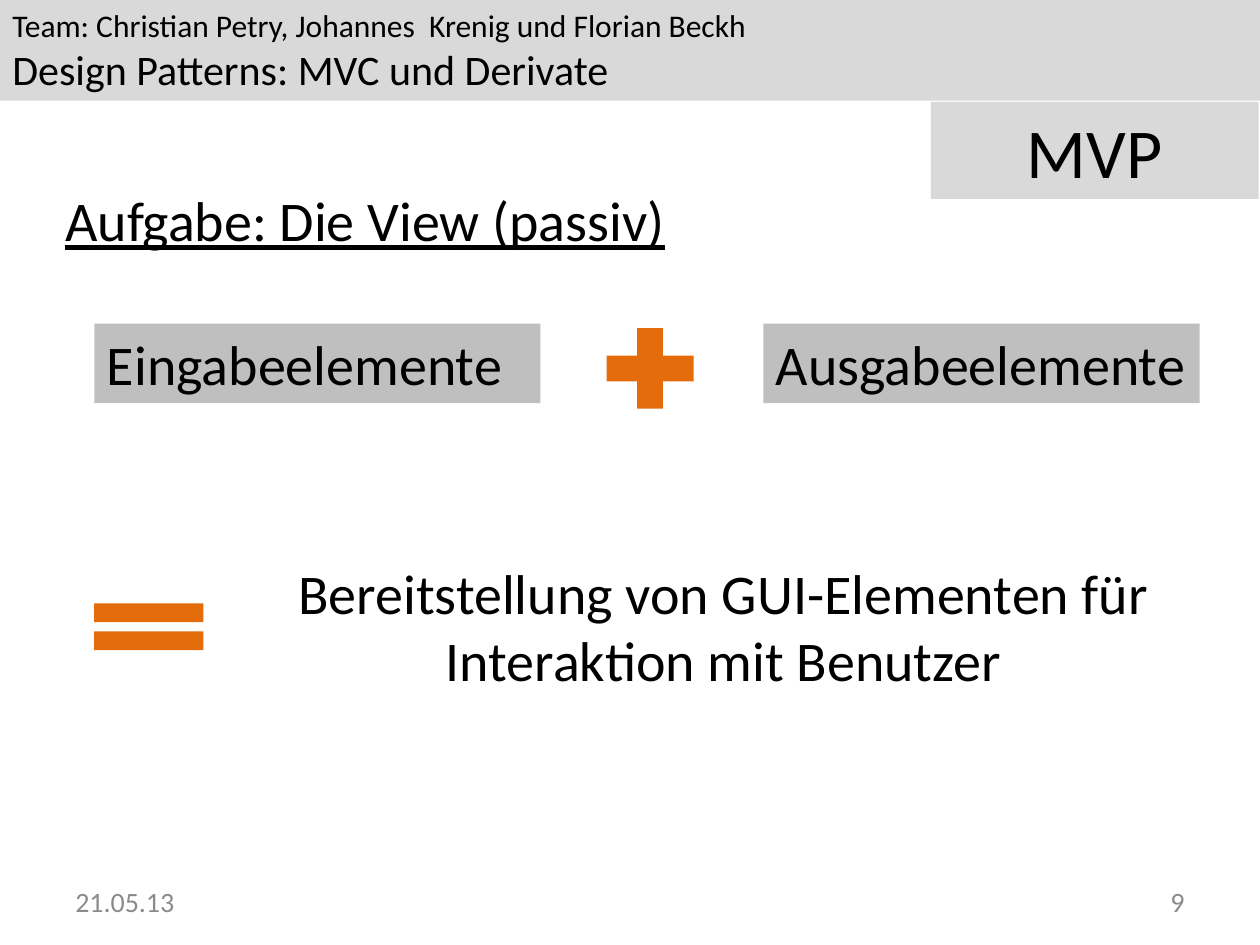
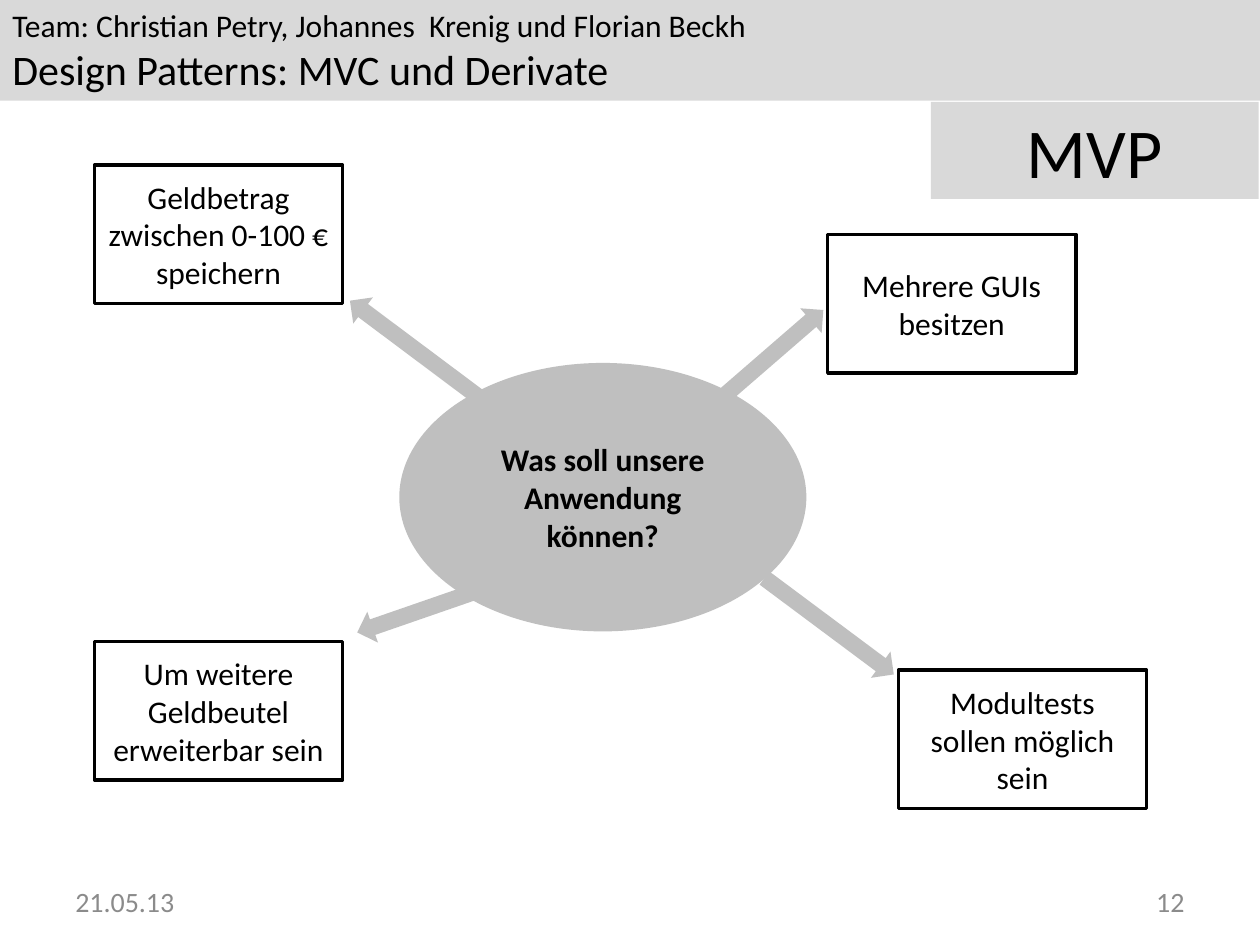
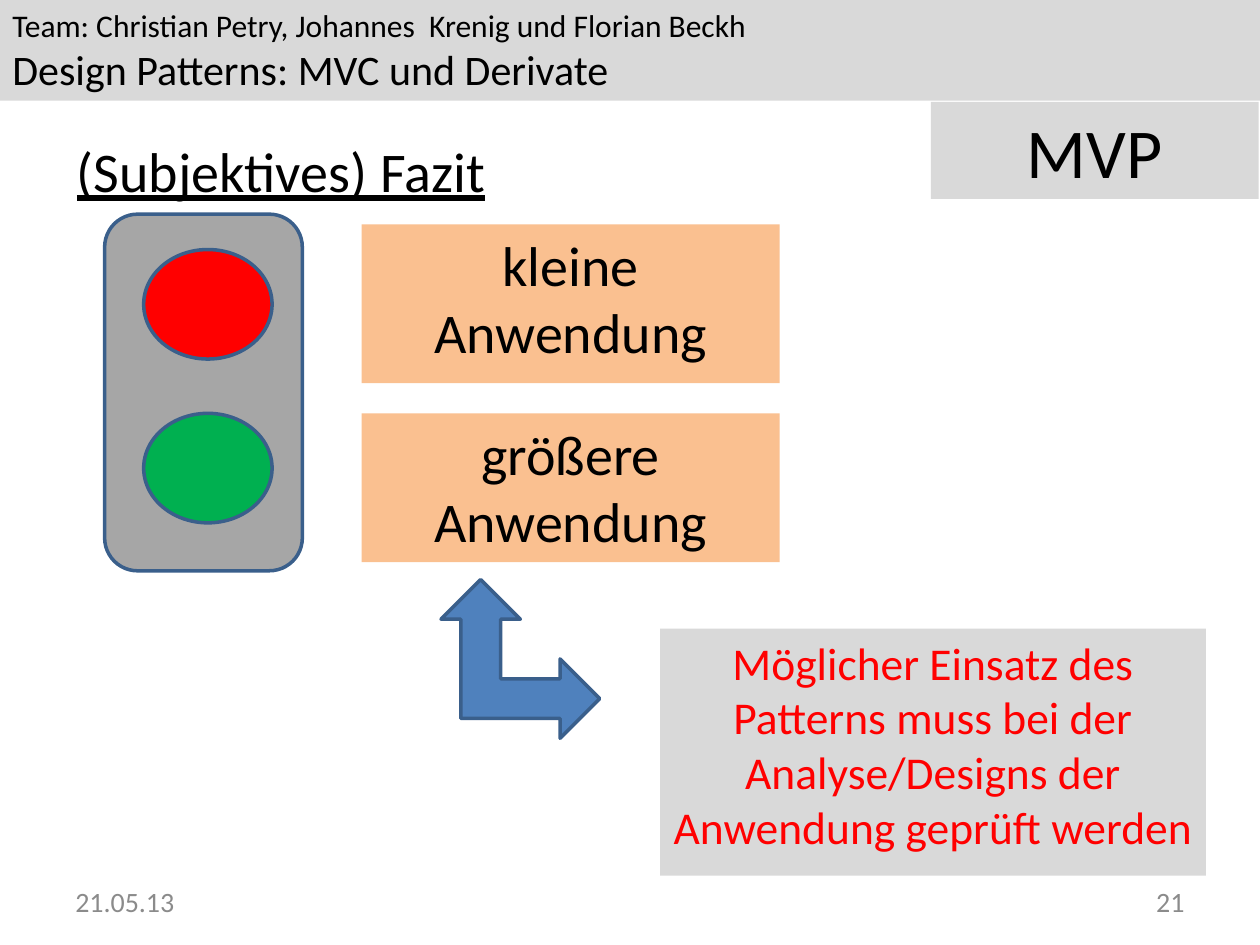
"""Builds three slides on the MVP pattern with shared bands and footer."""
from pptx import Presentation
from pptx.dml.color import RGBColor
from pptx.enum.shapes import MSO_SHAPE
from pptx.enum.text import MSO_ANCHOR, MSO_AUTO_SIZE, PP_ALIGN
from pptx.util import Pt

RECT, OVAL = MSO_SHAPE.RECTANGLE, MSO_SHAPE.OVAL
PLUS, EQUAL = MSO_SHAPE.MATH_PLUS, MSO_SHAPE.MATH_EQUAL
ARROW, CORNER_ARROW = MSO_SHAPE.RIGHT_ARROW, MSO_SHAPE.LEFT_UP_ARROW
HOUSING = MSO_SHAPE.FLOWCHART_ALTERNATE_PROCESS
TOP, MIDDLE = MSO_ANCHOR.TOP, MSO_ANCHOR.MIDDLE
LEFT, CENTER, RIGHT = PP_ALIGN.LEFT, PP_ALIGN.CENTER, PP_ALIGN.RIGHT
TITLE_ONLY, BLANK = 5, 6

FONT = "Calibri"
BLACK, WHITE, RED, GREEN = "000000", "FFFFFF", "FF0000", "00B050"
PALE, SILVER, GREY, FOOTER = "D9D9D9", "BFBFBF", "A6A6A6", "8B8B8B"
ORANGE, PEACH, BLUE, NAVY = "E46C0A", "FAC090", "4F81BD", "3A5F8B"


def rgb(code):
    return RGBColor.from_string(code)


class Deck:
    def __init__(self):
        self.prs = Presentation()
        self.prs.slide_width, self.prs.slide_height = Pt(720), Pt(540)
        self.slide = None

    def new_slide(self, number, title=None, at=None):
        layout = self.prs.slide_layouts[TITLE_ONLY if title else BLANK]
        self.slide = self.prs.slides.add_slide(layout)
        band = self.shape(RECT, (0, 0, 720, 57.6), PALE)
        self.fill_text(band, [("Team: Christian Petry, Johannes  Krenig und Florian Beckh", 18),
                              ("Design Patterns: MVC und Derivate", 24)], LEFT)
        topic = self.shape(RECT, (532, 58.3, 187.2, 55.4), PALE)
        self.fill_text(topic, [("MVP", 40)])
        if title:
            self.title(title, at)
        self.text("21.05.13", (36, 500.4, 167.8, 28.8), 16, FOOTER, LEFT, MIDDLE)
        self.text(number, (516.2, 500.4, 167.8, 28.8), 16, FOOTER, RIGHT, MIDDLE)

    def title(self, words, at):
        heading = self.slide.shapes.title
        heading.left, heading.top = map(Pt, at)
        heading.width, heading.height = Pt(648), Pt(73.4)
        self.fill_text(heading, [(words, 32)], LEFT, MIDDLE, underline=True)

    def text(self, words, box, size, color=BLACK, align=CENTER, anchor=TOP):
        area = self.slide.shapes.add_textbox(*map(Pt, box))
        self.fill_text(area, [(words, size)], align, anchor, color)

    def shape(self, kind, box, fill, line=None, turn=0):
        drawn = self.slide.shapes.add_shape(kind, *map(Pt, box))
        drawn.shadow.inherit = False
        drawn.rotation = turn
        drawn.fill.solid()
        drawn.fill.fore_color.rgb = rgb(fill)
        if line:
            drawn.line.color.rgb = rgb(line)
            drawn.line.width = Pt(2)
        else:
            drawn.line.fill.background()
        return drawn

    def fill_text(self, target, lines, align=CENTER, anchor=TOP, color=BLACK,
                  bold=False, underline=False):
        frame = target.text_frame
        frame.word_wrap = True
        frame.auto_size = MSO_AUTO_SIZE.NONE
        frame.vertical_anchor = anchor
        for index, (words, size) in enumerate(lines):
            paragraph = frame.add_paragraph() if index else frame.paragraphs[0]
            paragraph.alignment = align
            run = paragraph.add_run()
            run.text = words
            font = run.font
            font.name, font.size = FONT, Pt(size)
            font.bold, font.underline = bold, underline
            font.color.rgb = rgb(color)

    def label(self, words, box, fill, size, align=CENTER, color=BLACK):
        self.fill_text(self.shape(RECT, box, fill), [(words, size)], align, color=color)


def view_slide(deck):
    deck.new_slide("9", "Aufgabe: Die View (passiv)", (30.2, 88.6))
    deck.text("Bereitstellung von GUI-Elementen für Interaktion mit Benutzer",
              (155.5, 315.4, 516.2, 85), 32)
    deck.shape(EQUAL, (42.5, 335.5, 85, 45.4), ORANGE)
    deck.label("Eingabeelemente", (54, 185, 254.9, 45.4), SILVER, 32, LEFT)
    deck.label("Ausgabeelemente", (436.2, 185, 249.3, 45.4), SILVER, 32, LEFT)
    deck.shape(PLUS, (337.7, 179.3, 67.7, 62.6), ORANGE)


def goals_slide(deck):
    deck.new_slide("12")
    question = deck.shape(OVAL, (228.2, 207.4, 232.6, 153.4), SILVER)
    deck.fill_text(question, [("Was soll unsere Anwendung können?", 18)],
                   anchor=MIDDLE, bold=True)
    goals = [
        ("Geldbetrag zwischen 0-100 € speichern", (54, 94.3), (190.8, 190.1), 216.8),
        ("Mehrere GUIs besitzen", (473, 133.9), (389.5, 198), 319.1),
        ("Um weitere Geldbeutel erweiterbar sein", (54, 366.5), (201.6, 337), 160.9),
        ("Modultests sollen möglich sein", (513.4, 383), (427.7, 348.5), 36.7),
    ]
    for words, corner, arrow_corner, turn in goals:
        goal = deck.shape(RECT, (*corner, 141.8, 79.2), WHITE, BLACK)
        deck.fill_text(goal, [(words, 18)], anchor=MIDDLE)
        deck.shape(ARROW, (*arrow_corner, 92.2, 18.7), SILVER, turn=turn)


def verdict_slide(deck):
    deck.new_slide("21", "(Subjektives) Fazit", (36.7, 60.5))
    deck.label("kleine Anwendung", (206.6, 128.2, 239, 90.7), PEACH, 32)
    deck.label("größere Anwendung", (206.6, 236.2, 239, 85), PEACH, 32)
    deck.shape(CORNER_ARROW, (252, 331.2, 90.7, 90.7), BLUE, NAVY, turn=90)
    deck.label("Möglicher Einsatz des Patterns muss bei der Analyse/Designs der "
               "Anwendung geprüft werden",
               (377.3, 359.3, 311.8, 141.1), PALE, 26, color=RED)
    deck.shape(HOUSING, (59.8, 122.4, 113, 203.8), GREY, NAVY)
    for top, light in ((142.6, RED), (236.2, GREEN)):
        deck.shape(OVAL, (82.1, top, 73.4, 62.6), light, NAVY)


deck = Deck()
view_slide(deck)
goals_slide(deck)
verdict_slide(deck)
deck.prs.save("out.pptx")
